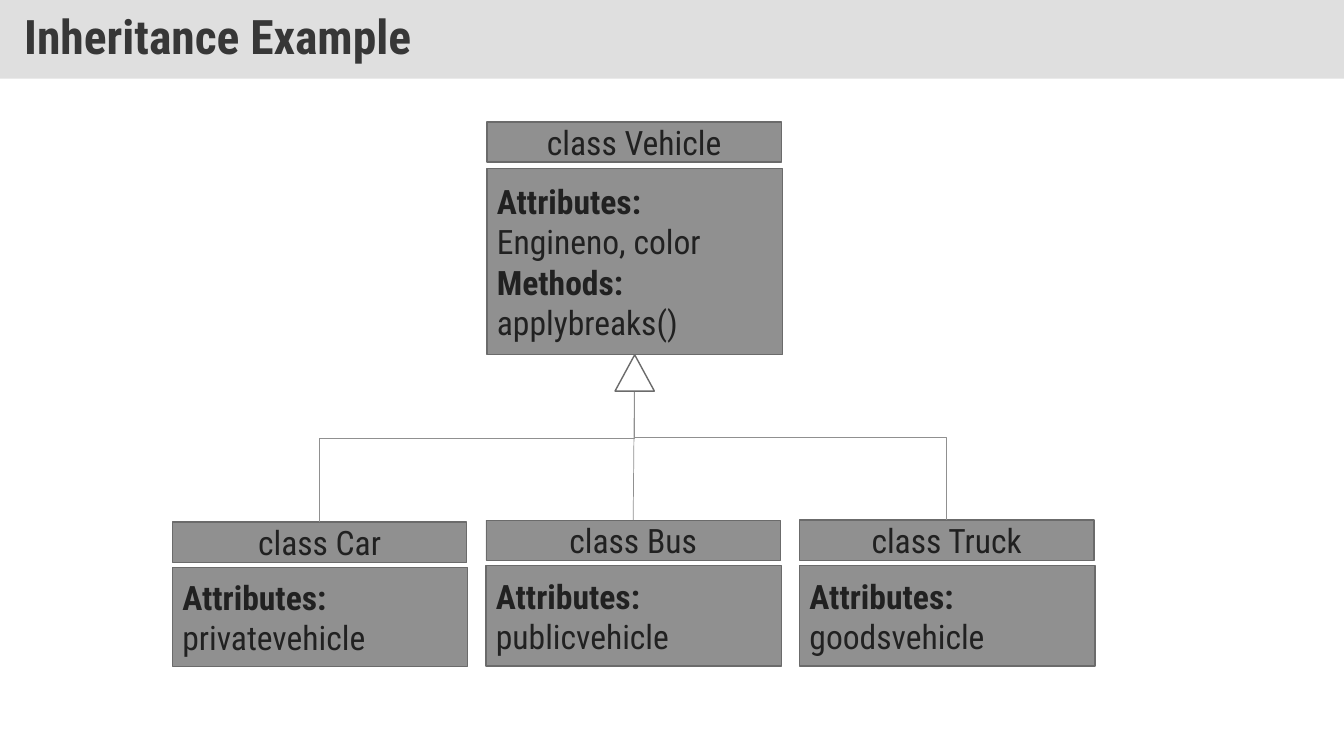
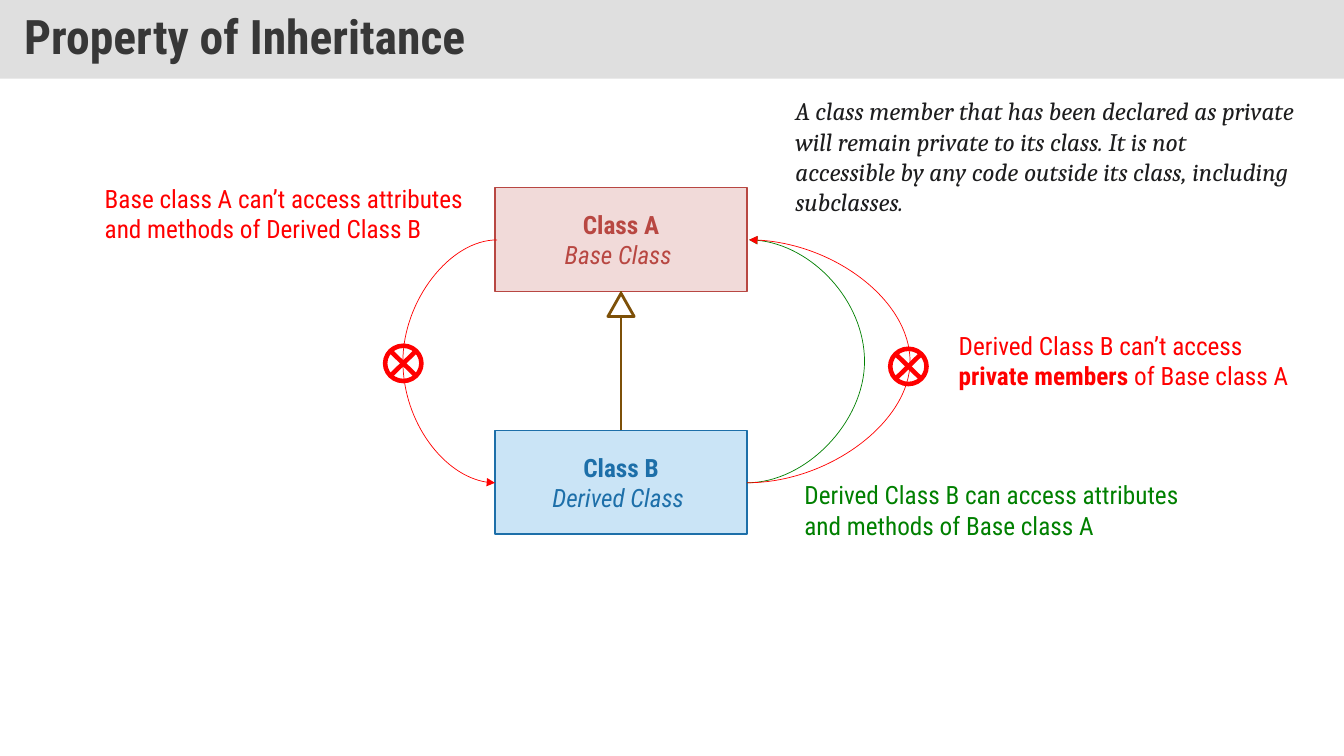
"""Build two slides on class inheritance."""
from lxml import etree
from pptx import Presentation
from pptx.dml.color import RGBColor
from pptx.enum.shapes import MSO_CONNECTOR, MSO_SHAPE
from pptx.enum.text import MSO_ANCHOR, MSO_AUTO_SIZE, PP_ALIGN
from pptx.oxml.ns import qn
from pptx.util import Inches, Pt

RECT = MSO_SHAPE.RECTANGLE
PEAK = MSO_SHAPE.ISOSCELES_TRIANGLE
CROSS = MSO_SHAPE.FLOWCHART_SUMMING_JUNCTION
LINE, ELBOW, CURVE = MSO_CONNECTOR.STRAIGHT, MSO_CONNECTOR.ELBOW, MSO_CONNECTOR.CURVE
LEFT, CENTER = PP_ALIGN.LEFT, PP_ALIGN.CENTER
MIDDLE, TOP = MSO_ANCHOR.MIDDLE, MSO_ANCHOR.TOP
FIXED = MSO_AUTO_SIZE.NONE


class Theme:
    sans, serif = "Roboto Condensed", "Cambria"
    head, large, small = 34, 24, 18
    band, title = "C0C0C0", "373737"
    gray, edge, ink = "909090", "6B6B6B", "212121"
    rose, wine = "F1DAD9", "B84742"
    sky, blue = "CAE4F6", "1D6FA9"
    red, green, brown = "FF0000", "008000", "7D5008"
    white, black = "FFFFFF", "1D1D1E"


def put(slide, kind, box, fill=None, edge=None, weight=1, text=(),
        color=Theme.ink, size=Theme.small, align=LEFT, font=Theme.sans):
    area = [Inches(n) for n in box]
    if kind is None:
        shape = slide.shapes.add_textbox(*area)
    else:
        shape = slide.shapes.add_shape(kind, *area)
        shape.shadow.inherit = False
        if fill:
            shape.fill.solid()
            shape.fill.fore_color.rgb = RGBColor.from_string(fill)
        else:
            shape.fill.background()
        shape.line.color.rgb = RGBColor.from_string(edge)
        shape.line.width = Pt(weight)
    frame = shape.text_frame
    frame.word_wrap = True
    frame.vertical_anchor = TOP if kind is None else MIDDLE
    for i, runs in enumerate(text):
        para = frame.add_paragraph() if i else frame.paragraphs[0]
        para.alignment = align
        for words, style in runs:
            run = para.add_run()
            run.text = words
            run.font.name = font
            run.font.size = Pt(size)
            run.font.bold = style == "b"
            run.font.italic = style == "i"
            run.font.color.rgb = RGBColor.from_string(color)
    return shape


def join(slide, kind, start, end, color, weight=0.5):
    link = slide.shapes.add_connector(kind, *[Inches(n) for n in start + end])
    link.line.color.rgb = RGBColor.from_string(color)
    link.line.width = Pt(weight)
    etree.SubElement(link._element.spPr, qn("a:effectLst"))
    return link


deck = Presentation()
deck.slide_width, deck.slide_height = Inches(13.33), Inches(7.5)
pages = []
for name in ("Inheritance Example", "Property of Inheritance"):
    page = deck.slides.add_slide(deck.slide_layouts[5])
    title = page.shapes.title
    title.left = title.top = 0
    title.width, title.height = deck.slide_width, Inches(0.78)
    title.fill.solid()
    title.fill.fore_color.rgb = RGBColor.from_string(Theme.band)
    tint = title._element.spPr.find(".//" + qn("a:srgbClr"))
    etree.SubElement(tint, qn("a:alpha")).set("val", "50000")
    frame = title.text_frame
    frame.auto_size = FIXED
    frame.word_wrap = True
    frame.vertical_anchor = MIDDLE
    frame.margin_left = frame.margin_right = Inches(0.24)
    frame.margin_top = frame.margin_bottom = Inches(0.12)
    para = frame.paragraphs[0]
    para.alignment = LEFT
    para.line_spacing = 0.9
    run = para.add_run()
    run.text = name
    run.font.name = Theme.sans
    run.font.size = Pt(Theme.head)
    run.font.bold = True
    run.font.color.rgb = RGBColor.from_string(Theme.title)
    pages.append(page)
tree, rules = pages

cards = [
    ("Car", 1.71, 5.18, 5.63, 0.98, 1, [("Attributes:", "privatevehicle")]),
    ("Bus", 4.82, 5.16, 5.61, 1, 0.5, [("Attributes:", "publicvehicle")]),
    ("Truck", 7.93, 5.16, 5.61, 1, 1, [("Attributes:", "goodsvehicle")]),
    ("Vehicle", 4.83, 1.21, 1.67, 1.85, 1,
     [("Attributes:", "Engineno, color"), ("Methods:", "applybreaks()")]),
]
heads = {}
for name, x, y, low, tall, weight, parts in cards:
    text = [[(words, style)] for pair in parts for words, style in zip(pair, "b ")]
    body = put(tree, RECT, (x, low, 2.93, tall), Theme.gray, Theme.edge,
               text=text, size=Theme.large)
    heads[name] = put(tree, RECT, (x, y, 2.92, 0.4), Theme.gray, Theme.edge, weight,
                      [[("class " + name, "")]], size=Theme.large, align=CENTER)

for name, kind, turn, flip in (("Car", ELBOW, 90, "0"), ("Bus", LINE, 0, ""),
                               ("Truck", ELBOW, 270, "1")):
    link = join(tree, kind, (6.3, 3.52), (6.28, 5.16), Theme.gray)
    link.begin_connect(body, 2)
    link.end_connect(heads[name], 0)
    if turn:
        wide, tall = link.width, link.height
        link.left += (wide - tall) // 2
        link.top += (tall - wide) // 2
        link.width, link.height = tall, wide
        form = link._element.spPr.find(qn("a:xfrm"))
        form.set("rot", str(turn * 60000))
        form.set("flipH", flip)
put(tree, PEAK, (6.1, 3.52, 0.39, 0.36), Theme.white, Theme.edge)

boxes = []
for name, role, y, fill, edge in (
        ("Class A", "Base Class ", 1.86, Theme.rose, Theme.wine),
        ("Class B", "Derived Class ", 4.27, Theme.sky, Theme.blue)):
    boxes.append(put(rules, RECT, (4.91, y, 2.5, 1.03), fill, edge,
                     text=[[(name, "b")], [(role, "i")]], color=edge, align=CENTER))
base, child = boxes
stem = join(rules, LINE, (6.16, 4.27), (6.16, 2.89), Theme.brown, 2)
stem.begin_connect(child, 0)
stem.end_connect(base, 2)
put(rules, PEAK, (6.03, 2.91, 0.26, 0.23), Theme.white, Theme.brown, 2)

for start, end, reach, color in (
        ((7.41, 4.79), (7.43, 2.38), 1.16, Theme.green),
        ((4.93, 2.38), (4.91, 4.79), 0.93, Theme.red),
        ((7.41, 4.79), (7.43, 2.38), 1.61, Theme.red)):
    arc = join(rules, CURVE, start, end, color)
    bend = etree.SubElement(arc._element.spPr.find(".//" + qn("a:avLst")), qn("a:gd"))
    bend.set("name", "adj1")
    bend.set("fmla", f"val {round(reach / 0.02 * 100000)}")
    tip = etree.SubElement(arc.line._get_or_add_ln(), qn("a:tailEnd"))
    tip.set("type", "triangle")
for x, y in ((3.82, 3.43), (8.83, 3.46)):
    put(rules, CROSS, (x, y, 0.36, 0.35), None, Theme.red, 3.25)

for box, color, runs in (
        ((7.88, 4.71, 4.09, 0.71), Theme.green,
         [("Derived Class B can access attributes and methods of Base class A", "")]),
        ((0.94, 1.77, 4.09, 0.71), Theme.red,
         [("Base class A can’t access attributes and methods of Derived Class B", "")]),
        ((9.41, 3.23, 3.71, 0.71), Theme.red,
         [("Derived Class B can’t access ", ""), ("private members ", "b"),
          ("of Base class A", "")])):
    put(rules, None, box, text=[runs], color=color)
put(rules, None, (7.79, 0.9, 5.54, 1.31), color=Theme.black, font=Theme.serif, text=[
    [("A class member that has been declared as private will remain private "
      "to its class. It is not", "i")],
    [("accessible by any code outside its class, including subclasses.", "i")]])

deck.save("out.pptx")
